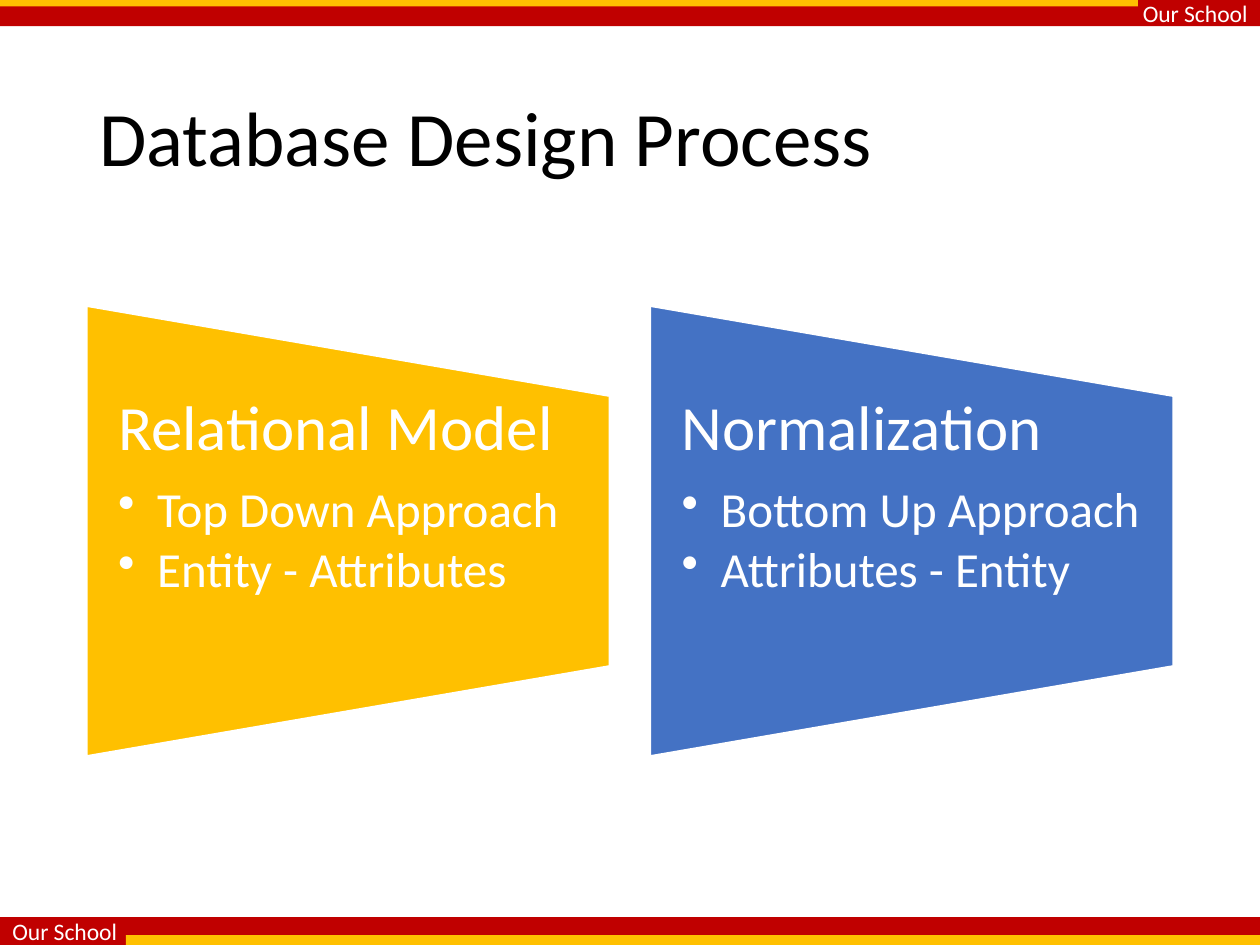
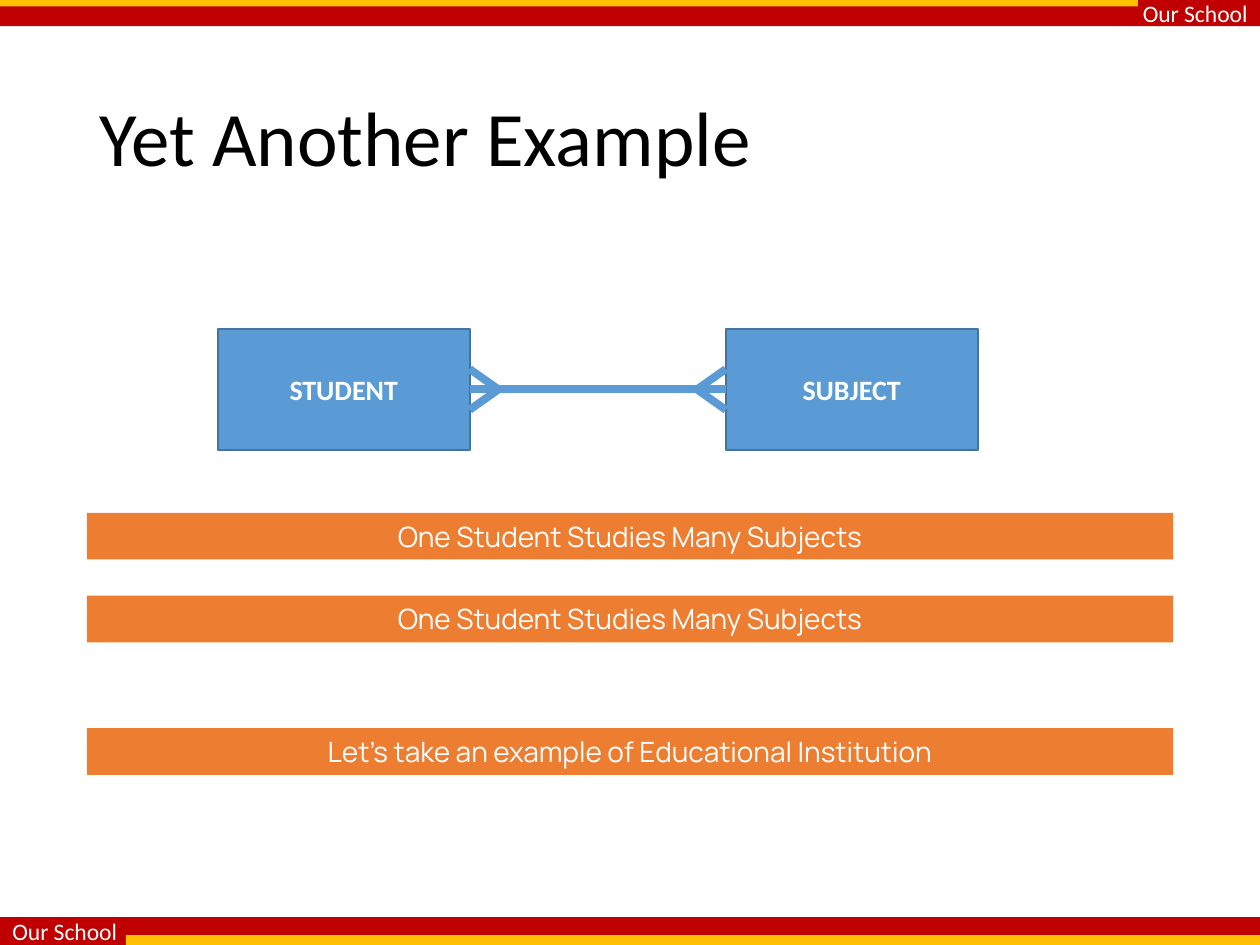
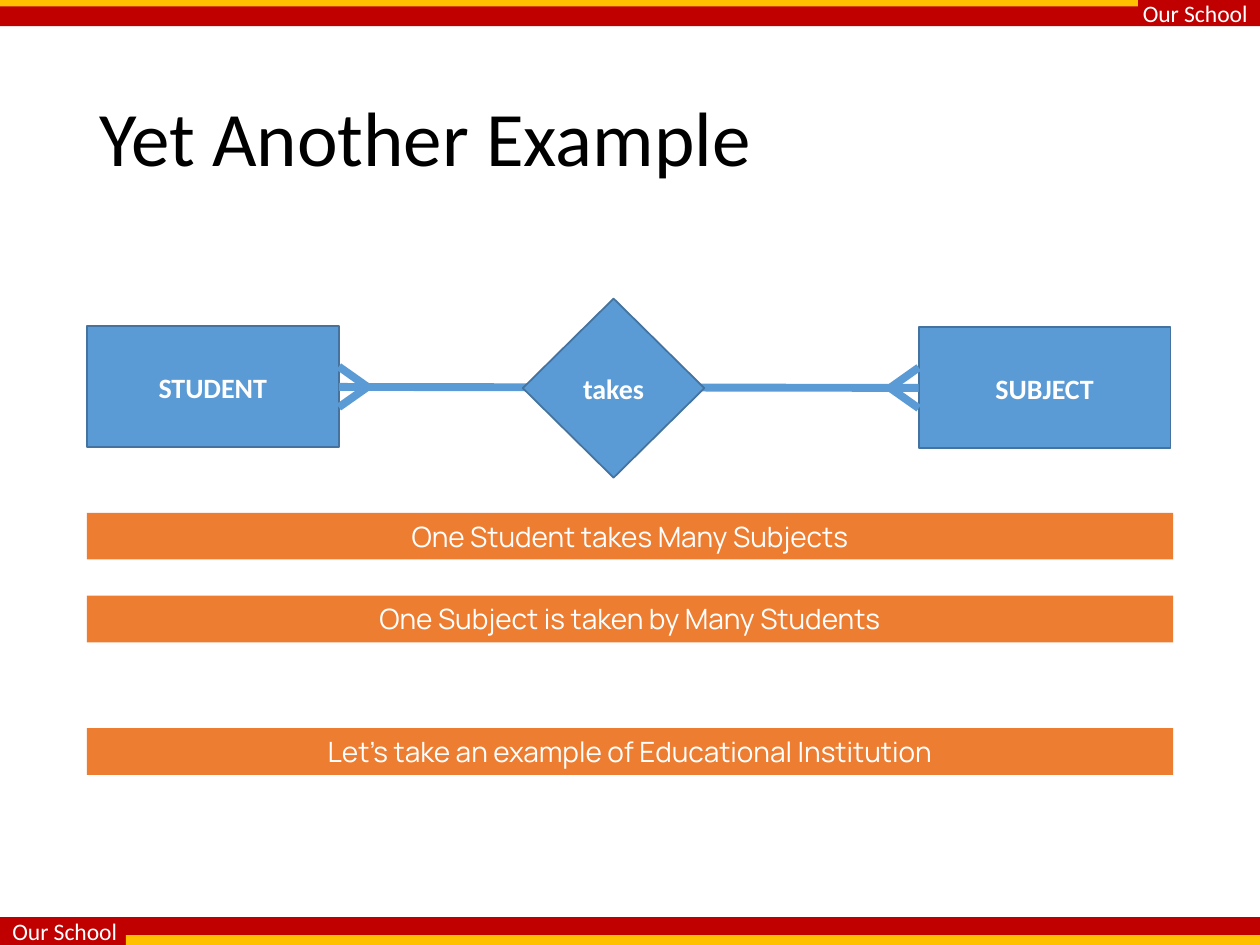
"""Build three slides on database design with shared bands and titles."""
from lxml.etree import SubElement
from pptx import Presentation
from pptx.dml.color import RGBColor
from pptx.enum.shapes import MSO_CONNECTOR, MSO_SHAPE
from pptx.enum.text import MSO_ANCHOR, MSO_AUTO_SIZE, PP_ALIGN
from pptx.oxml.ns import qn
from pptx.util import Cm, Pt

RED, GOLD, BLUE, ORANGE = "C00000", "FFC000", "4472C4", "ED7D31"
SKY, EDGE, WHITE, BLACK = "5B9BD5", "43739E", "FFFFFF", "000000"
BRAND = "Our School"
WIDE, HIGH = 25.4, 19.05
LEFT, SPAN = 1.75, 21.9

BANDS = [
    (0, 0, WIDE, 0.53, RED, BRAND, PP_ALIGN.RIGHT),
    (0, 18.49, WIDE, 0.56, RED, BRAND, PP_ALIGN.LEFT),
    (0, 0, 22.94, 0.13, GOLD, "", None),
    (2.54, 18.85, 22.86, 0.2, GOLD, "", None),
]
PANELS = [
    (GOLD, "Relational Model", ["Top Down Approach", "Entity - Attributes"]),
    (BLUE, "Normalization", ["Bottom Up Approach", "Attributes - Entity"]),
]
PANEL_W, PANEL_H, PANEL_TOP = 10.54, 9.07, 6.17
BOX_W, BOX_H = 5.08, 2.44
FOOT_X, FOOT_Y = 0.58, 0.41
STRIP_TOPS = [10.34, 12.01, 14.68]
CLOSING = "Let’s take an example of Educational Institution"
EXAMPLES = [
    {
        "boxes": [("STUDENT", 4.39, 6.63), ("SUBJECT", 14.63, 6.63)],
        "verb": "",
        "facts": ["One Student Studies Many Subjects"] * 2,
    },
    {
        "boxes": [("STUDENT", LEFT, 6.58), ("SUBJECT", 18.52, 6.6)],
        "verb": "takes",
        "facts": ["One Student takes Many Subjects",
                  "One Subject is taken by Many Students"],
    },
]


def tint(code):
    return RGBColor.from_string(code)


def write(para, text, size, color=WHITE, font="Calibri", bold=False):
    run = para.add_run()
    run.text = text
    run.font.name, run.font.size, run.font.bold = font, Pt(size), bold
    run.font.color.rgb = tint(color)


def draw(slide, kind, x, y, w, h, fill, edge=None):
    shape = slide.shapes.add_shape(kind, Cm(x), Cm(y), Cm(w), Cm(h))
    shape.shadow.inherit = False
    shape.fill.solid()
    shape.fill.fore_color.rgb = tint(fill)
    if edge:
        shape.line.color.rgb = tint(edge)
        shape.line.width = Pt(1)
    else:
        shape.line.fill.background()
    return shape


def label(shape, text, size, align, **style):
    frame = shape.text_frame
    frame.word_wrap = True
    frame.vertical_anchor = MSO_ANCHOR.MIDDLE
    para = frame.paragraphs[0]
    para.alignment = align
    write(para, text, size, **style)
    return para


def start(deck, title):
    slide = deck.slides.add_slide(deck.slide_layouts[6])
    for x, y, w, h, fill, text, align in BANDS:
        band = draw(slide, MSO_SHAPE.RECTANGLE, x, y, w, h, fill)
        if text:
            label(band, text, 13.5, align)
    box = slide.shapes.add_textbox(Cm(LEFT), Cm(1.02), Cm(SPAN), Cm(3.68))
    label(box, title, 44, PP_ALIGN.LEFT, color=BLACK).line_spacing = 0.9
    return slide


def bullet(para):
    props = para._p.get_or_add_pPr()
    props.set("marL", str(Cm(0.79)))
    props.set("indent", str(-Cm(0.79)))
    SubElement(props, qn("a:buChar")).set("char", "•")


def panel(slide, x, fill, head, points):
    turn = (PANEL_W - PANEL_H) / 2
    shape = draw(slide, MSO_SHAPE.FLOWCHART_MANUAL_OPERATION, x + turn,
                 PANEL_TOP - turn, PANEL_H, PANEL_W, fill, WHITE)
    shape.rotation = 270
    box = slide.shapes.add_textbox(Cm(x), Cm(PANEL_TOP + PANEL_H / 5),
                                   Cm(PANEL_W), Cm(PANEL_H * 0.6))
    frame = box.text_frame
    frame.word_wrap = True
    frame.margin_left = frame.margin_right = Cm(0.63)
    frame.margin_top = frame.margin_bottom = 0
    para = frame.paragraphs[0]
    para.line_spacing, para.space_after = 0.9, Pt(12)
    write(para, head, 36)
    for point in points:
        para = frame.add_paragraph()
        bullet(para)
        para.line_spacing, para.space_after = 0.9, Pt(4)
        write(para, point, 28)


def link(slide, x1, y1, x2, y2):
    line = slide.shapes.add_connector(MSO_CONNECTOR.STRAIGHT,
                                      Cm(x1), Cm(y1), Cm(x2), Cm(y2))
    line.line.color.rgb = tint(SKY)
    line.line.width = Pt(4.5)
    SubElement(line._element.spPr, qn("a:effectLst"))
    return line


def relate(slide, boxes, verb):
    style = {"size": 16, "align": PP_ALIGN.CENTER, "bold": True}
    ends = []
    for name, x, y in boxes:
        box = draw(slide, MSO_SHAPE.RECTANGLE, x, y, BOX_W, BOX_H, SKY, EDGE)
        label(box, name, **style)
        ends.append(box)
    (_, x1, y1), (_, x2, y2) = boxes
    x1, y1, y2 = x1 + BOX_W, y1 + BOX_H / 2, y2 + BOX_H / 2
    line = link(slide, x1, y1, x2, y2)
    line.begin_connect(ends[0], 3)
    line.end_connect(ends[1], 1)
    for x, y, way in [(x1, y1, 1), (x2, y2, -1)]:
        for rise in (-FOOT_Y, FOOT_Y):
            link(slide, x + way * FOOT_X, y, x, y + rise)
    if verb:
        gem = draw(slide, MSO_SHAPE.DIAMOND, 10.54, 6.02, 3.66, 3.61, SKY, EDGE)
        label(gem, verb, **style)


def strip(slide, top, text):
    bar = draw(slide, MSO_SHAPE.RECTANGLE, LEFT, top, SPAN, 0.94, ORANGE)
    label(bar, text, 16, PP_ALIGN.CENTER, font="Manrope")
    bar.text_frame.vertical_anchor = MSO_ANCHOR.TOP
    bar.text_frame.auto_size = MSO_AUTO_SIZE.SHAPE_TO_FIT_TEXT


def main():
    deck = Presentation()
    deck.slide_width, deck.slide_height = Cm(WIDE), Cm(HIGH)
    slide = start(deck, "Database Design Process")
    for i, (fill, head, points) in enumerate(PANELS):
        panel(slide, LEFT + i * (SPAN - PANEL_W), fill, head, points)
    for case in EXAMPLES:
        slide = start(deck, "Yet Another Example")
        relate(slide, case["boxes"], case["verb"])
        for top, text in zip(STRIP_TOPS, case["facts"] + [CLOSING]):
            strip(slide, top, text)
    deck.save("out.pptx")


if __name__ == "__main__":
    main()
